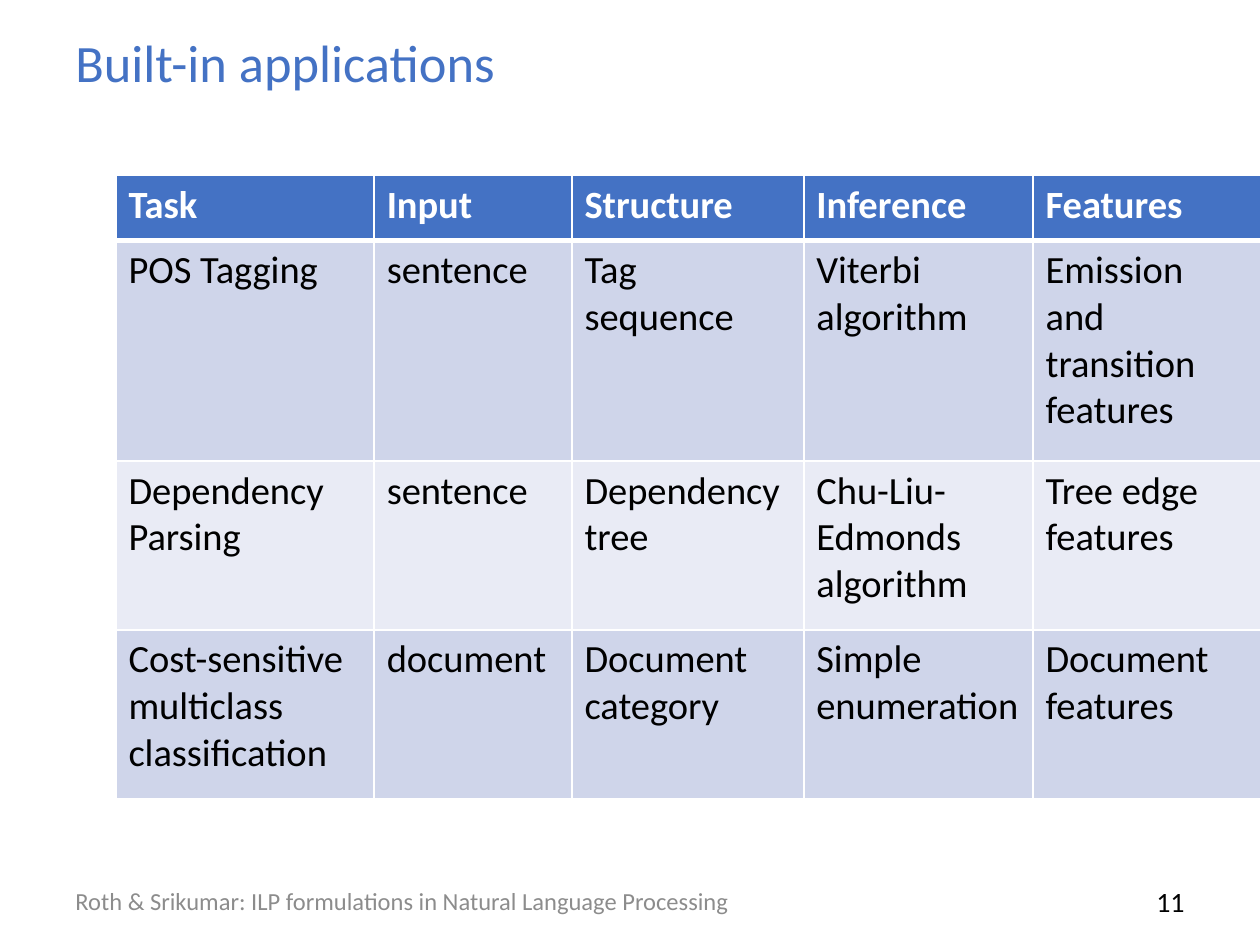
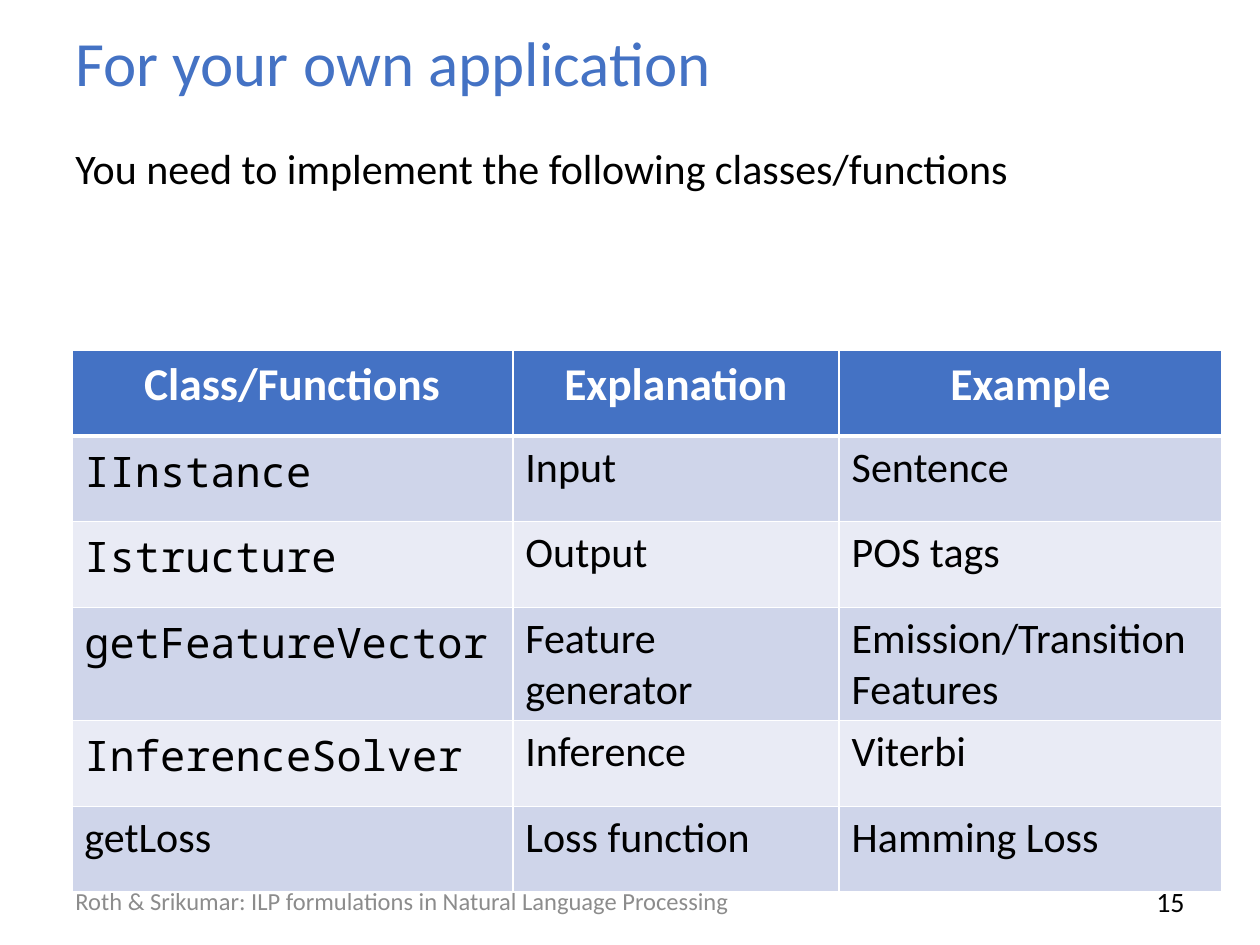
from lxml import etree
from pptx import Presentation
from pptx.dml.color import RGBColor
from pptx.enum.text import MSO_ANCHOR, PP_ALIGN
from pptx.oxml.ns import qn
from pptx.util import Inches, Pt

LEFT, CENTER, RIGHT = PP_ALIGN.LEFT, PP_ALIGN.CENTER, PP_ALIGN.RIGHT
TOP, MIDDLE = MSO_ANCHOR.TOP, MSO_ANCHOR.MIDDLE

COLORS = {
    "accent": "4472C4",
    "band_dark": "CFD5EA",
    "band_light": "E9EBF5",
    "white": "FFFFFF",
    "black": "000000",
    "muted": "8C8C8C",
}
SANS, MONO = "Calibri", "Noto Sans Mono"
FOOTER = "Roth & Srikumar: ILP formulations in Natural Language Processing"

TITLE_BOX = (0.5, 0.15, 9, 0.68)
BODY_BOX = (0.5, 1.08, 9, 5.62)
FOOTER_BOX = (0.5, 6.95, 6.08, 0.4)
NUMBER_BOX = (7.17, 6.95, 2.33, 0.4)
THIN, THICK = 1, 3

APPLICATIONS = [
    ("Task", "Input", "Structure", "Inference", "Features"),
    ("POS Tagging", "sentence", "Tag sequence", "Viterbi algorithm",
     "Emission and transition features"),
    ("Dependency Parsing", "sentence", "Dependency tree",
     "Chu-Liu-Edmonds algorithm", "Tree edge features"),
    ("Cost-sensitive multiclass classification", "document",
     "Document category", "Simple enumeration", "Document features"),
]
CLASSES = [
    ("Class/Functions", "Explanation", "Example"),
    ("IInstance", "Input", "Sentence"),
    ("Istructure", "Output", "POS tags"),
    ("getFeatureVector", "Feature generator", "Emission/Transition Features"),
    ("InferenceSolver", "Inference", "Viterbi"),
    ("getLoss", "Loss function", "Hamming Loss"),
]
CODE_NAMES = {"IInstance", "Istructure", "getFeatureVector", "InferenceSolver"}


def write(frame, text, size, color, align=LEFT, font=SANS, bold=False):
    para = frame.paragraphs[0]
    para.alignment = align
    span = para.add_run()
    span.text = text
    span.font.color.rgb = RGBColor.from_string(COLORS[color])
    for name, value in {"size": Pt(size), "name": font, "bold": bold}.items():
        setattr(span.font, name, value)
    return para


def add_text(page, box, text, size, color, align=LEFT, anchor=MIDDLE):
    frame = page.shapes.add_textbox(*map(Inches, box)).text_frame
    frame.word_wrap = True
    frame.vertical_anchor = anchor
    return write(frame, text, size, color, align)


def set_borders(cell, widths):
    properties = cell._tc.get_or_add_tcPr()
    for side, width in widths.items():
        line = etree.SubElement(properties, qn(f"a:ln{side}"), w=str(Pt(width)))
        fill = etree.SubElement(line, qn("a:solidFill"))
        etree.SubElement(fill, qn("a:srgbClr"), val=COLORS["white"])


def add_banded_table(page, left, top, widths, heights, rows,
                     head_size, size, head_align=LEFT):
    box = map(Inches, (left, top, sum(widths), sum(heights)))
    table = page.shapes.add_table(len(rows), len(widths), *box).table
    for column, width in zip(table.columns, widths):
        column.width = Inches(width)
    for index, (height, texts) in enumerate(zip(heights, rows)):
        table.rows[index].height = Inches(height)
        is_head = index == 0
        band = "accent" if is_head else "band_dark" if index % 2 else "band_light"
        borders = {"L": THIN, "R": THIN,
                   "T": THICK if index == 1 else THIN,
                   "B": THICK if is_head else THIN}
        for cell, text in zip(table.rows[index].cells, texts):
            set_borders(cell, borders)
            cell.fill.solid()
            cell.fill.fore_color.rgb = RGBColor.from_string(COLORS[band])
            if is_head:
                write(cell.text_frame, text, head_size, "white", head_align, bold=True)
            else:
                font = MONO if text in CODE_NAMES else SANS
                write(cell.text_frame, text, size, "black", font=font)


def start_page(deck, title, title_size, number):
    page = deck.slides.add_slide(deck.slide_layouts[6])
    add_text(page, TITLE_BOX, title, title_size, "accent")
    add_text(page, NUMBER_BOX, str(number), 16, "black", RIGHT)
    return page


def add_footer(page):
    add_text(page, FOOTER_BOX, FOOTER, 14, "muted")


def build_applications(deck):
    page = start_page(deck, "Built-in applications", 30, 11)
    add_banded_table(page, 0.92, 1.39, [2.05, 1.57, 1.84, 1.82, 1.82],
                     [0.52, 1.75, 1.34, 1.34], APPLICATIONS, 22, 22)
    add_footer(page)


def build_own_application(deck):
    page = start_page(deck, "For your own application", 36, 15)
    intro = add_text(page, BODY_BOX,
                     "You need to implement the following classes/functions",
                     24, "black", anchor=TOP)
    intro.space_before = Pt(4.8)
    add_banded_table(page, 0.57, 2.78, [3.5, 2.59, 3.04],
                     [0.68] * len(CLASSES), CLASSES, 26, 24, CENTER)
    add_footer(page)


def main():
    deck = Presentation()
    deck.slide_width, deck.slide_height = Inches(10), Inches(7.5)
    build_applications(deck)
    build_own_application(deck)
    deck.save("out.pptx")


if __name__ == "__main__":
    main()
